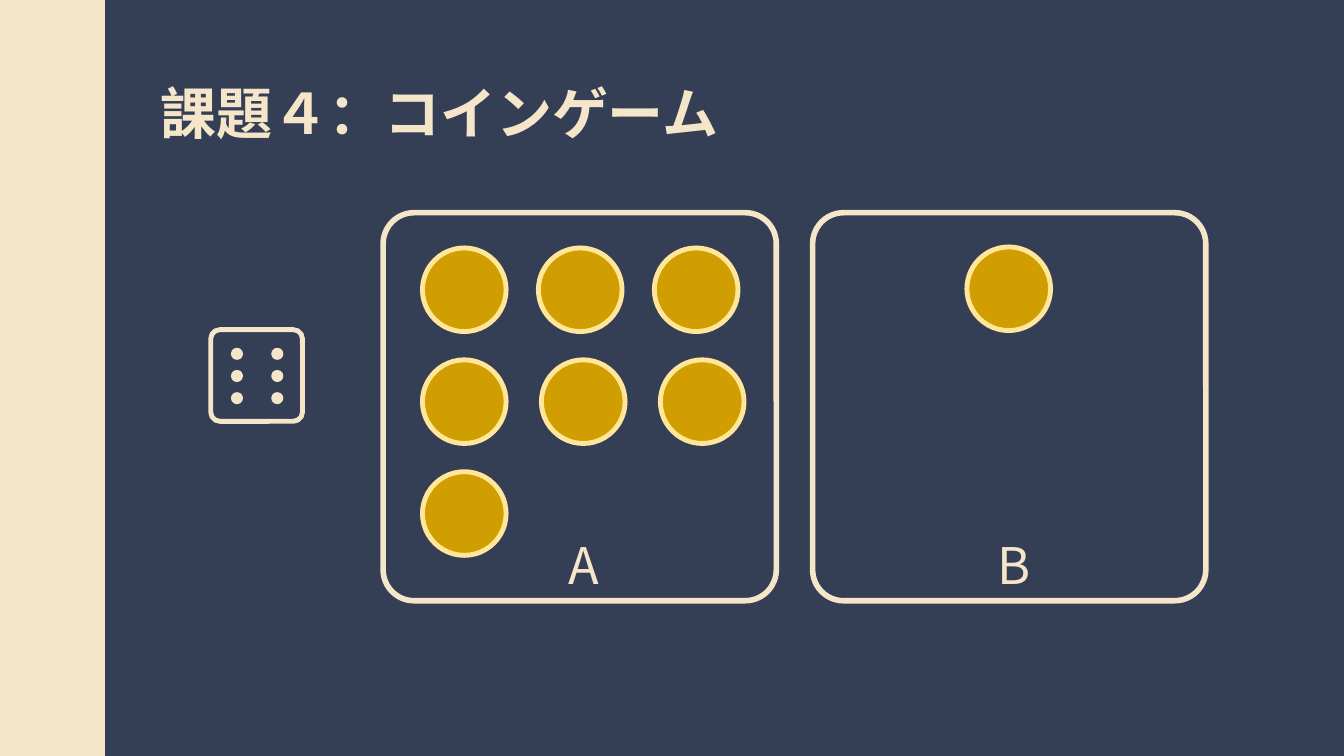
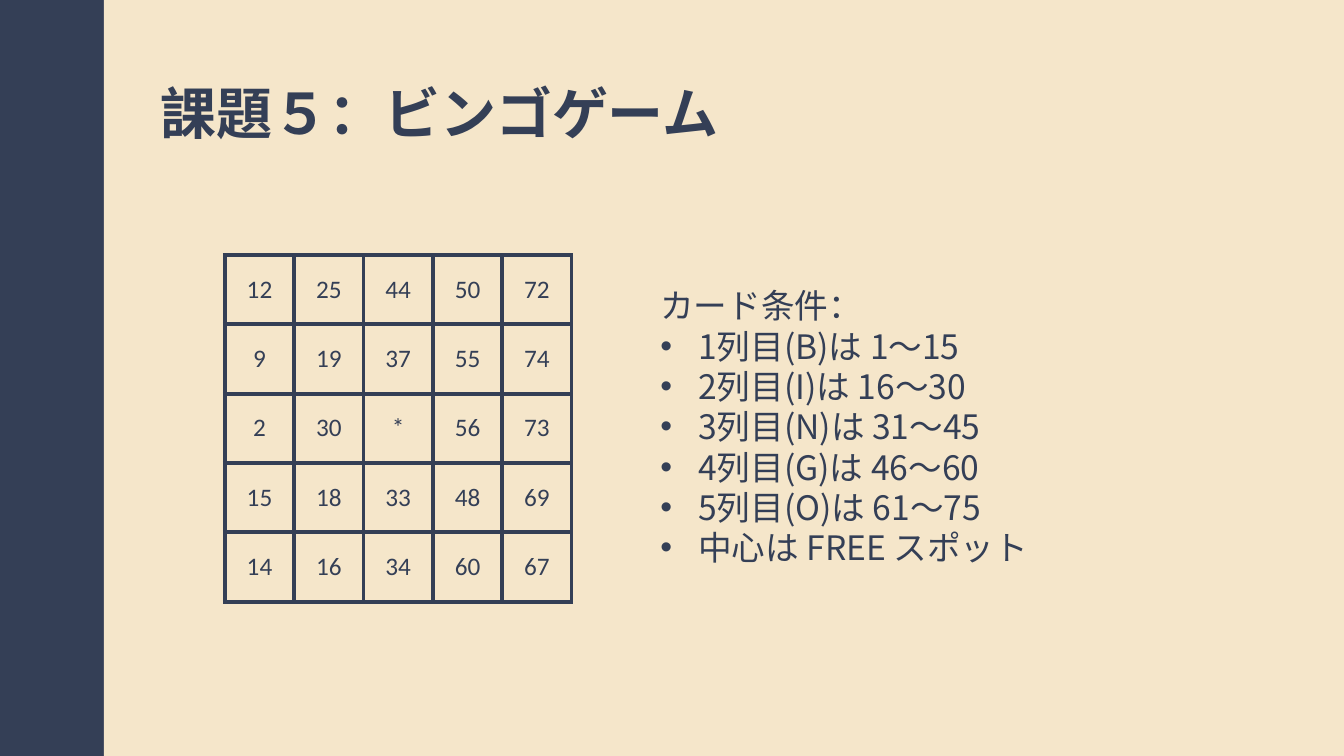
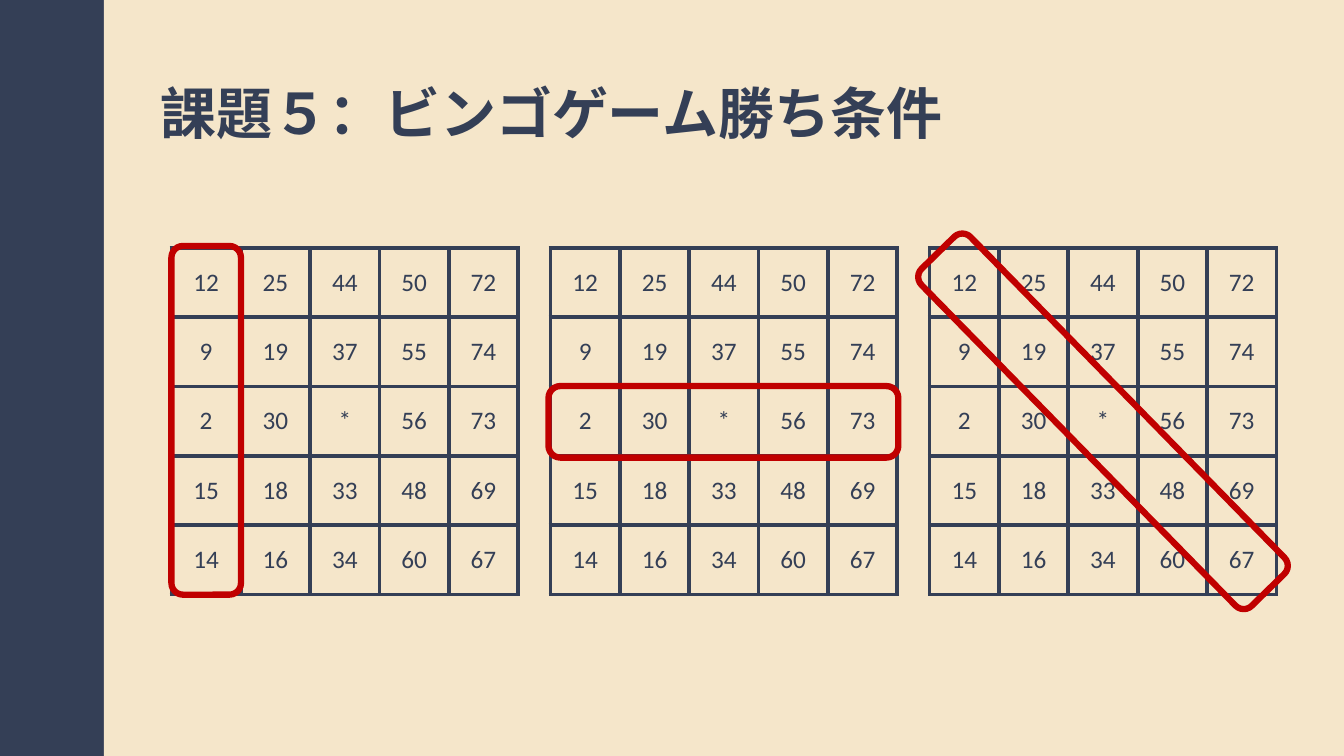
from dataclasses import dataclass

from lxml import etree
from pptx import Presentation
from pptx import util as u
from pptx.dml.color import RGBColor
from pptx.enum import shapes, text
from pptx.oxml import ns


# Theme: colours, fonts and type sizes
@dataclass(frozen=True)
class Theme:
    navy: str = "343F56"
    cream: str = "F5E6CA"
    coin: str = "D09E00"
    coin_rim: str = "FFE699"
    marker: str = "C00000"
    japanese_font: str = "Noto Sans CJK JP"
    number_font: str = "Calibri"
    title_size: int = 40
    label_size: int = 36
    body_size: int = 24
    number_size: int = 18


THEME = Theme()
SLIDE_WIDTH, SLIDE_HEIGHT = 1333, 750
CARD_SIDE = 344
ELLIPSE = shapes.MSO_SHAPE.OVAL
RECTANGLE = shapes.MSO_SHAPE.RECTANGLE
ROUNDED = shapes.MSO_SHAPE.ROUNDED_RECTANGLE

BINGO_CARD = [
    ["12", "25", "44", "50", "72"],
    ["9", "19", "37", "55", "74"],
    ["2", "30", "*", "56", "73"],
    ["15", "18", "33", "48", "69"],
    ["14", "16", "34", "60", "67"],
]
CARD_RULES = [
    "カード条件：",
    "1列目(B)は 1～15",
    "2列目(I)は 16～30",
    "3列目(N)は 31～45",
    "4列目(G)は 46～60",
    "5列目(O)は 61～75",
    "中心は FREE スポット",
]


def px(length):
    """One hundred px make an inch."""
    return u.Emu(length * 9144)


def rgb(colour):
    return RGBColor.from_string(colour)


# Text
def add_run(paragraph, words, size, colour, font=THEME.japanese_font, bold=False):
    run = paragraph.add_run()
    run.text = words
    run.font.size = u.Pt(size)
    run.font.bold = bold
    run.font.name = font
    run.font.color.rgb = rgb(colour)
    east_asian = etree.SubElement(run.font._element, ns.qn("a:ea"))
    east_asian.set("typeface", font)


def place(shape, left, top, width, height):
    shape.left, shape.top = px(left), px(top)
    shape.width, shape.height = px(width), px(height)


def set_title(slide, words, colour):
    title = slide.shapes.title
    place(title, 149, -26, 1194, 176)
    frame = title.text_frame
    frame.auto_size = text.MSO_AUTO_SIZE.NONE
    frame.vertical_anchor = text.MSO_ANCHOR.BOTTOM
    paragraph = frame.paragraphs[0]
    paragraph.alignment = text.PP_ALIGN.LEFT
    paragraph.line_spacing = 0.9
    add_run(paragraph, words, THEME.title_size, colour, bold=True)


def set_rules(slide, lines):
    """Fill the body placeholder: a plain heading, then bulleted lines."""
    body = slide.placeholders[1]
    place(body, 645, 278, 559, 293)
    frame = body.text_frame
    frame.auto_size = text.MSO_AUTO_SIZE.SHAPE_TO_FIT_TEXT
    for index, line in enumerate(lines):
        paragraph = frame.add_paragraph() if index else frame.paragraphs[0]
        paragraph.line_spacing = u.Pt(THEME.body_size * 1.2)
        paragraph.space_before = u.Pt(0)
        if index == 0:
            properties = paragraph._p.get_or_add_pPr()
            properties.set("marL", "0")
            properties.set("indent", "0")
            etree.SubElement(properties, ns.qn("a:buNone"))
        add_run(paragraph, line, THEME.body_size, THEME.navy)


def add_label(slide, letter, left, top):
    box = slide.shapes.add_textbox(px(left), px(top), px(111), px(71))
    frame = box.text_frame
    frame.word_wrap = True
    frame.auto_size = text.MSO_AUTO_SIZE.SHAPE_TO_FIT_TEXT
    paragraph = frame.paragraphs[0]
    paragraph.alignment = text.PP_ALIGN.CENTER
    paragraph.line_spacing = u.Pt(THEME.label_size * 1.2)
    add_run(paragraph, letter, THEME.label_size, THEME.cream)


# Shapes
def add_figure(container, kind, box, fill=None, line=None, weight=0, corner=None):
    left, top, width, height = box
    shape = container.shapes.add_shape(kind, px(left), px(top), px(width), px(height))
    shape.shadow.inherit = False
    if fill:
        shape.fill.solid()
        shape.fill.fore_color.rgb = rgb(fill)
    else:
        shape.fill.background()
    if line:
        shape.line.color.rgb = rgb(line)
        shape.line.width = u.Pt(weight)
    else:
        shape.line.fill.background()
    if corner is not None:
        shape.adjustments[0] = corner
    return shape


def add_coin(slide, left, top):
    add_figure(slide, ELLIPSE, (left, top, 83, 83), THEME.coin, THEME.coin_rim, 3.5)


def add_coin_box(slide, letter, left):
    add_figure(slide, ROUNDED, (left, 211, 390, 385),
               line=THEME.cream, weight=4, corner=0.08)
    add_label(slide, letter, left + 144, 525)


def add_die(slide, left, top):
    die = slide.shapes.add_group_shape()
    add_figure(die, ROUNDED, (left, top, 91, 91),
               line=THEME.cream, weight=3.5, corner=0.1)
    for column in range(2):
        for row in range(3):
            pip = (left + 20 + 40 * column, top + 18 + 22 * row, 12, 12)
            add_figure(die, ELLIPSE, pip, THEME.cream)


def add_marker(slide, box, rotation=0):
    marker = add_figure(slide, ROUNDED, box, line=THEME.marker, weight=4.5)
    marker.rotation = rotation


# Bingo card
def set_borders(cell, colour, weight):
    properties = cell._tc.get_or_add_tcPr()
    for index, side in enumerate(("lnL", "lnR", "lnT", "lnB")):
        border = etree.Element(ns.qn(f"a:{side}"), w=str(u.Pt(weight)))
        fill = etree.SubElement(border, ns.qn("a:solidFill"))
        etree.SubElement(fill, ns.qn("a:srgbClr"), val=colour)
        properties.insert(index, border)


def add_bingo_card(slide, left, top):
    count = len(BINGO_CARD)
    side = px(CARD_SIDE)
    table = slide.shapes.add_table(count, count, px(left), px(top), side, side).table
    table.first_row = table.horz_banding = False
    for line in (*table.columns, ):
        line.width = side // count
    for row, numbers in zip(table.rows, BINGO_CARD):
        row.height = side // count
        for cell, number in zip(row.cells, numbers):
            cell.fill.background()
            cell.vertical_anchor = text.MSO_ANCHOR.MIDDLE
            set_borders(cell, THEME.navy, 3)
            paragraph = cell.text_frame.paragraphs[0]
            paragraph.alignment = text.PP_ALIGN.CENTER
            add_run(paragraph, number, THEME.number_size, THEME.navy, THEME.number_font)


# Slides
def add_slide(presentation, layout, title, panel, title_colour):
    """Start a slide with a cream panel behind its title."""
    slide = presentation.slides.add_slide(presentation.slide_layouts[layout])
    left, width = panel
    cream = add_figure(slide, RECTANGLE, (left, 0, width, SLIDE_HEIGHT), THEME.cream)
    slide.shapes.title._element.addprevious(cream._element)
    set_title(slide, title, title_colour)
    return slide


def add_bingo_slide(presentation, layout, title):
    panel = (103, SLIDE_WIDTH - 103)
    return add_slide(presentation, layout, title, panel, THEME.navy)


def build_coin_game(presentation):
    slide = add_slide(presentation, 5, "課題４：コインゲーム", (0, 104), THEME.cream)
    add_coin_box(slide, "A", 380)
    add_coin_box(slide, "B", 806)
    for top, step, count in ((246, 115, 3), (357, 118, 3), (468, 0, 1)):
        for column in range(count):
            add_coin(slide, 419 + step * column, top)
    add_coin(slide, 959, 245)
    add_die(slide, 209, 327)


def build_bingo_rules(presentation):
    slide = add_bingo_slide(presentation, 1, "課題５：ビンゴゲーム")
    add_bingo_card(slide, 223, 253)
    set_rules(slide, CARD_RULES)


def build_bingo_wins(presentation):
    slide = add_bingo_slide(presentation, 5, "課題５：ビンゴゲーム勝ち条件")
    for index in range(3):
        add_bingo_card(slide, 170 + 376 * index, 246)
    add_marker(slide, (170, 244, 69, 346))
    add_marker(slide, (544, 383, 347, 71))
    add_marker(slide, (860, 384, 468, 68), rotation=45.6)


def main():
    presentation = Presentation()
    presentation.slide_width = px(SLIDE_WIDTH)
    presentation.slide_height = px(SLIDE_HEIGHT)
    background = presentation.slide_master.background.fill
    background.solid()
    background.fore_color.rgb = rgb(THEME.navy)
    build_coin_game(presentation)
    build_bingo_rules(presentation)
    build_bingo_wins(presentation)
    presentation.save("out.pptx")


if __name__ == "__main__":
    main()
